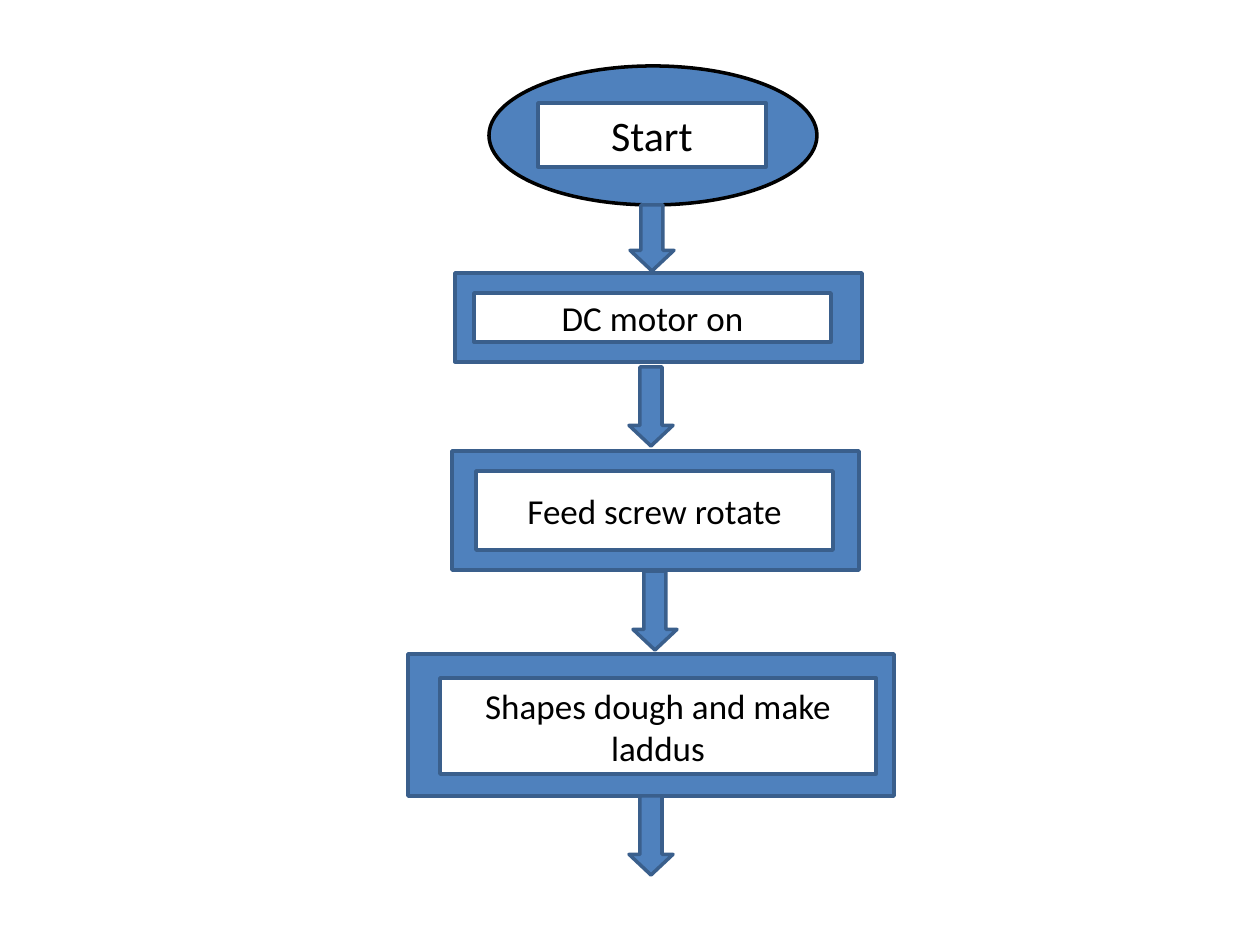
from pptx import Presentation
from pptx.dml.color import RGBColor
from pptx.enum.shapes import MSO_SHAPE
from pptx.enum.text import MSO_ANCHOR, PP_ALIGN
from pptx.util import Inches, Pt

PX = Inches(1) / 126
COLORS = {"blue": "4F81BD", "edge": "3A5F8C", "white": "FFFFFF", "black": "000000"}


class Flowchart:
    """Draws flowchart elements on one slide in a shared style."""

    def __init__(self, slide):
        self.slide = slide
        self.font = {"name": "Calibri", "size": Pt(20)}

    def color(self, name):
        return RGBColor.from_string(COLORS[name])

    def shape(self, kind, box, fill="blue", line="edge"):
        sp = self.slide.shapes.add_shape(kind, *(round(v * PX) for v in box))
        sp.shadow.inherit = False
        sp.fill.solid()
        sp.fill.fore_color.rgb = self.color(fill)
        sp.line.color.rgb = self.color(line)
        sp.line.width = Pt(2)
        return sp

    def arrow(self, left, top, height):
        sp = self.shape(MSO_SHAPE.DOWN_ARROW, (left, top, 44, height))
        sp.adjustments[0] = 0.5
        sp.adjustments[1] = 0.47

    def label(self, text, box, **font):
        sp = self.shape(MSO_SHAPE.RECTANGLE, box, "white")
        tf = sp.text_frame
        tf.word_wrap = True
        tf.vertical_anchor = MSO_ANCHOR.MIDDLE
        p = tf.paragraphs[0]
        p.alignment = PP_ALIGN.CENTER
        r = p.add_run()
        r.text = text
        for key, value in {**self.font, **font}.items():
            setattr(r.font, key, value)
        r.font.color.rgb = self.color("black")


prs = Presentation()
prs.slide_width, prs.slide_height = Inches(10), Inches(7.5)
chart = Flowchart(prs.slides.add_slide(prs.slide_layouts[6]))

STEPS = [
    ("DC motor on", (455, 273, 407, 89), (474, 293, 357, 49), (629, 367, 79)),
    ("Feed screw rotate", (452, 451, 407, 119), (476, 471, 357, 79), (633, 571, 79)),
    ("Shapes dough and make laddus", (408, 654, 486, 142), (440, 678, 436, 96), (629, 796, 79)),
]

chart.shape(MSO_SHAPE.OVAL, (489, 66, 328, 139), line="black")
chart.label("Start", (538, 103, 228, 64), size=Pt(24))
chart.arrow(630, 205, 66)
for text, frame, inner, arrow in STEPS:
    chart.shape(MSO_SHAPE.RECTANGLE, frame)
    chart.arrow(*arrow)
    chart.label(text, inner)

prs.save("out.pptx")
